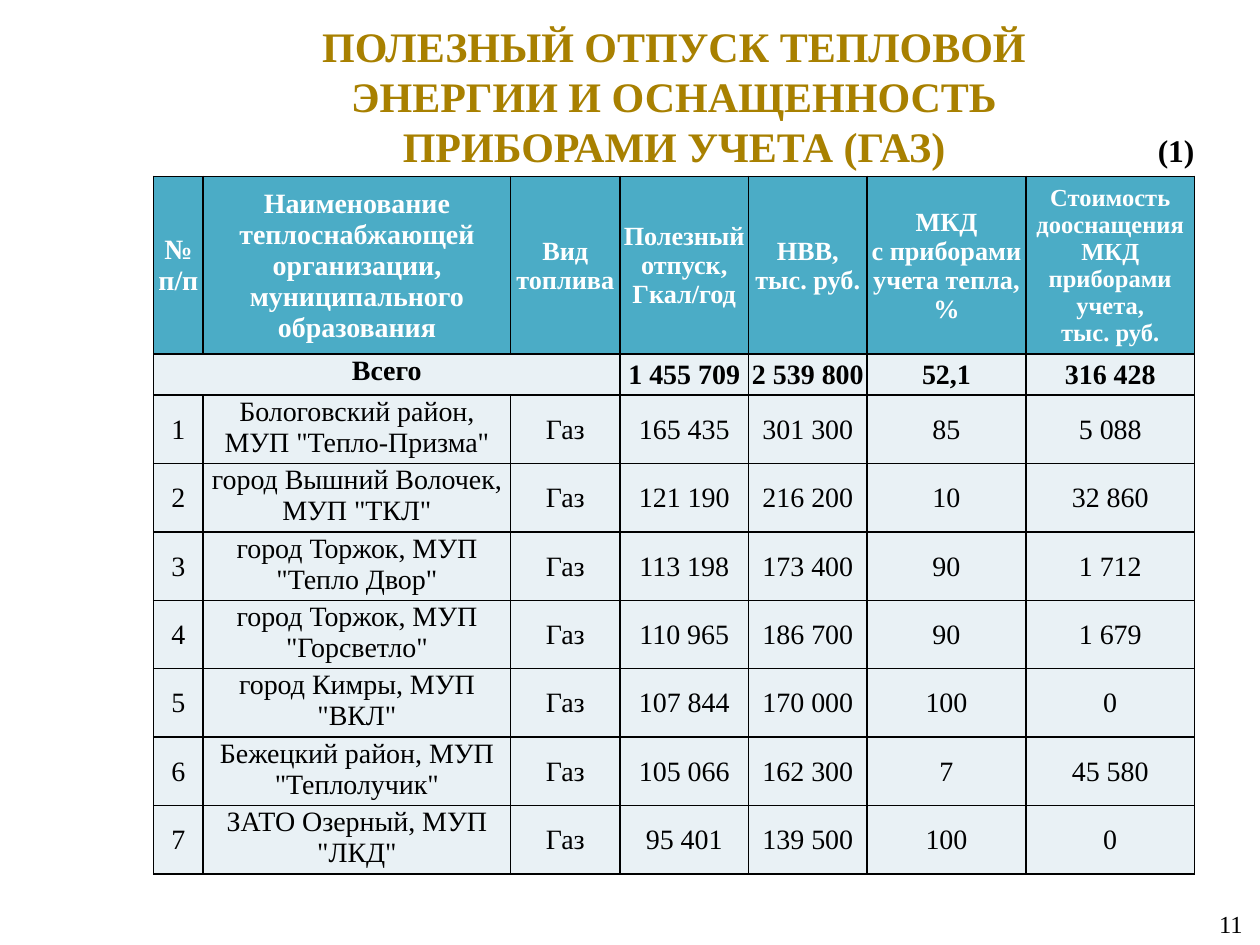
from pptx import Presentation
from pptx.dml.color import RGBColor
from pptx.enum import text as t
from pptx.oxml import parse_xml
from pptx.oxml.ns import nsdecls
from pptx.util import Pt

FONT = "Times New Roman"
COLORS = {"title": "A88000", "header": "4BACC6", "body": "E9F1F5",
          "light": "FFFFFF", "dark": "000000"}
COLUMN_WIDTHS = [28.3, 175.8, 62.4, 73.5, 67.8, 90.7, 96.5]
HEADER_HEIGHT, TOTAL_HEIGHT, SUPPLIER_HEIGHT = 101.1, 23.4, 39.1

# A vertical tab is a line break, a newline starts a paragraph.
HEADERS = ["№ п/п",
           "Наименование теплоснабжающей организации, муниципального образования",
           "Вид топлива", "Полезный отпуск, Гкал/год", "НВВ, тыс. руб.",
           "МКД\vс приборами учета тепла, %",
           "Стоимость дооснащения МКД приборами учета,\nтыс. руб."]
HEADER_SIZES = [16, 16, 15, 15, 15, 15, 14]
TOTALS = ["Всего", "", "", "1 455 709", "2 539 800", "52,1", "316 428"]
SUPPLIERS = [
    ('Бологовский район, МУП "Тепло-Призма"', "165 435", "301 300", "85", "5 088"),
    ('город Вышний Волочек, МУП "ТКЛ"', "121 190", "216 200", "10", "32 860"),
    ('город Торжок, МУП "Тепло Двор"', "113 198", "173 400", "90", "1 712"),
    ('город Торжок, МУП "Горсветло"', "110 965", "186 700", "90", "1 679"),
    ('город Кимры, МУП "ВКЛ"', "107 844", "170 000", "100", "0"),
    ('Бежецкий район, МУП "Теплолучик"', "105 066", "162 300", "7", "45 580"),
    ('ЗАТО Озерный, МУП "ЛКД"', "95 401", "139 500", "100", "0"),
]


def write(frame, content, size, color="dark", bold=False, align=t.PP_ALIGN.CENTER):
    frame.text = content
    font_format = {"name": FONT, "size": Pt(size), "bold": bold}
    for paragraph in frame.paragraphs:
        paragraph.alignment = align
        for run in paragraph.runs:
            for attribute, value in font_format.items():
                setattr(run.font, attribute, value)
            run.font.color.rgb = RGBColor.from_string(COLORS[color])


def place_title(slide, left, top, width, height):
    title = slide.shapes.title
    place = {"left": left, "top": top, "width": width, "height": height}
    for attribute, value in place.items():
        setattr(title, attribute, Pt(value))
    title.text_frame.auto_size = t.MSO_AUTO_SIZE.NONE
    title.text_frame.vertical_anchor = t.MSO_ANCHOR.MIDDLE
    write(title.text_frame,
          "ПОЛЕЗНЫЙ ОТПУСК ТЕПЛОВОЙ ЭНЕРГИИ И ОСНАЩЕННОСТЬ ПРИБОРАМИ УЧЕТА (ГАЗ)",
          24, "title", True)


def place_label(slide, content, left, top, width, height, **style):
    frame = slide.shapes.add_textbox(Pt(left), Pt(top), Pt(width), Pt(height)).text_frame
    frame.word_wrap = True
    write(frame, content, **style)


def format_cell(cell, fill, anchor):
    cell_format = {"margin_left": Pt(0.7), "margin_right": Pt(0.7),
                   "margin_top": Pt(0.7), "margin_bottom": Pt(0),
                   "vertical_anchor": anchor}
    for attribute, value in cell_format.items():
        setattr(cell, attribute, value)
    cell.fill.solid()
    cell.fill.fore_color.rgb = RGBColor.from_string(COLORS[fill])
    properties = cell._tc.get_or_add_tcPr()
    for position, side in enumerate("LRTB"):
        properties.insert(position, parse_xml(
            f'<a:ln{side} {nsdecls("a")} w="12700"><a:solidFill>'
            f'<a:srgbClr val="{COLORS["dark"]}"/></a:solidFill></a:ln{side}>'))


def place_supply_table(slide, left, top):
    suppliers = [(str(number), name, "Газ", *figures)
                 for number, (name, *figures) in enumerate(SUPPLIERS, 1)]
    rows = [HEADERS, TOTALS, *suppliers]
    heights = [HEADER_HEIGHT, TOTAL_HEIGHT] + [SUPPLIER_HEIGHT] * len(suppliers)
    table = slide.shapes.add_table(
        len(rows), len(COLUMN_WIDTHS), Pt(left), Pt(top),
        Pt(sum(COLUMN_WIDTHS)), Pt(sum(heights))).table
    table.horz_banding = False
    for column, width in zip(table.columns, COLUMN_WIDTHS):
        column.width = Pt(width)
    for row, height in zip(table.rows, heights):
        row.height = Pt(height)

    for r, row in enumerate(rows):
        is_header = r == 0
        for c, content in enumerate(row):
            cell = table.cell(r, c)
            top_aligned = (r == 1 and c == 0) or (r > 1 and c == 1)
            format_cell(cell, "header" if is_header else "body",
                        t.MSO_ANCHOR.TOP if top_aligned else t.MSO_ANCHOR.MIDDLE)
            write(cell.text_frame, content, HEADER_SIZES[c] if is_header else 16,
                  "light" if is_header else "dark", bold=r < 2)
    table.cell(1, 0).merge(table.cell(1, 2))


def main():
    deck = Presentation()
    deck.slide_width, deck.slide_height = Pt(720), Pt(540)
    slide = deck.slides.add_slide(deck.slide_layouts[5])
    place_label(slide, "11", 549.4, 516.2, 167.8, 24.5,
                size=14, align=t.PP_ALIGN.RIGHT)
    place_title(slide, 115.9, 15.1, 538.6, 79.2)
    place_supply_table(slide, 87.8, 100.8)
    place_label(slide, "(1)", 654.5, 71.3, 39.6, 28.8,
                size=18, bold=True, align=t.PP_ALIGN.JUSTIFY)
    deck.save("out.pptx")


if __name__ == "__main__":
    main()
